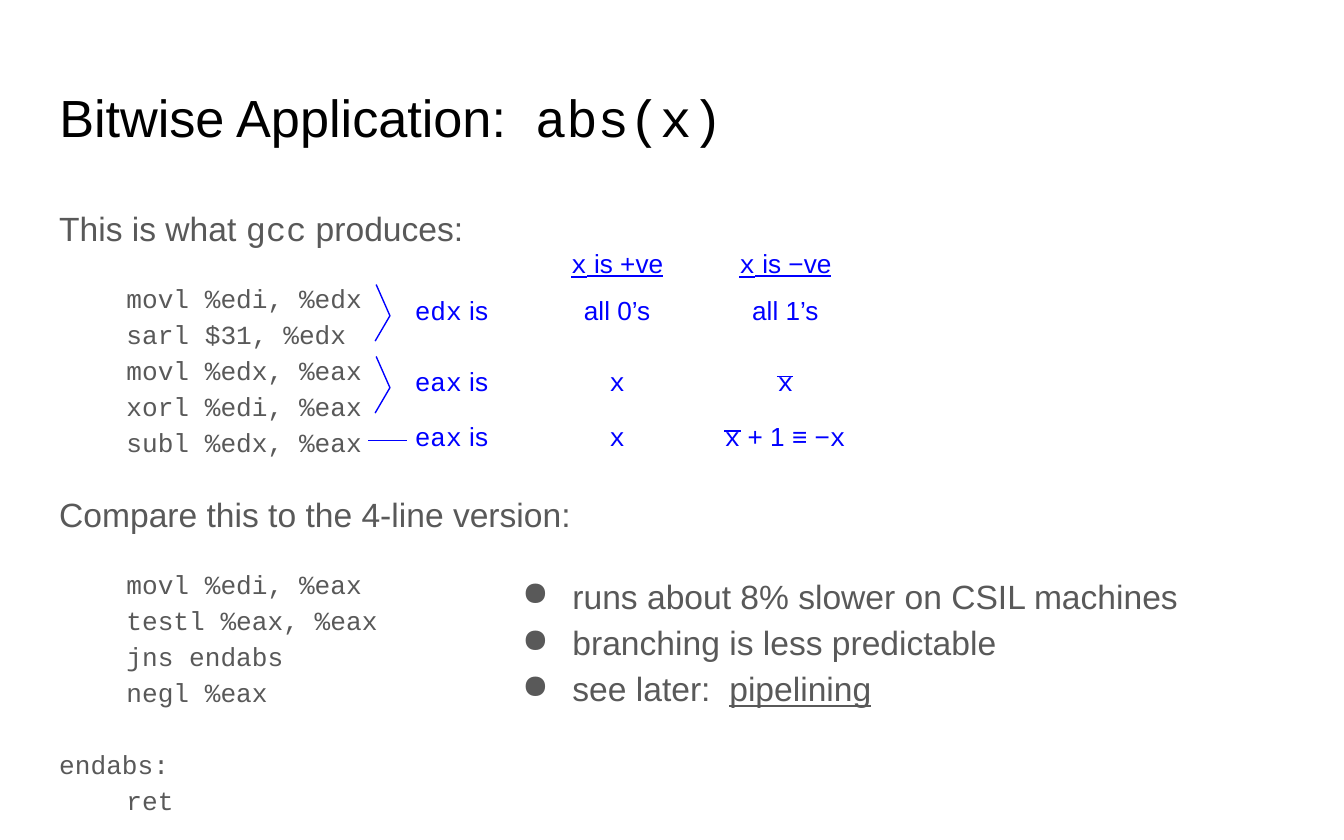
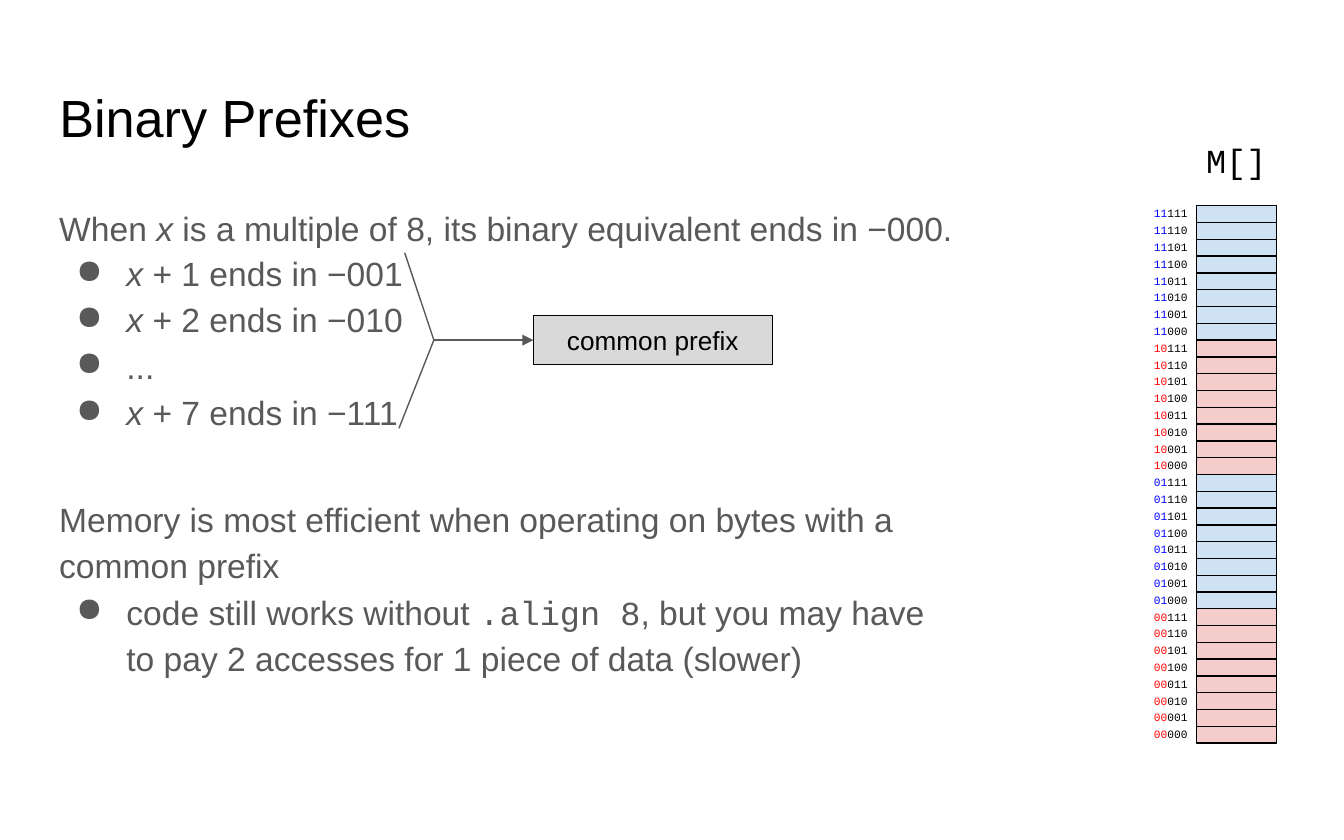
from lxml import etree
from pptx import Presentation
from pptx.dml.color import RGBColor
from pptx.enum.shapes import MSO_CONNECTOR, MSO_SHAPE
from pptx.enum.text import MSO_ANCHOR, MSO_AUTO_SIZE, PP_ALIGN
from pptx.oxml.ns import qn
from pptx.util import Cm, Pt

LEFT, CENTER = PP_ALIGN.LEFT, PP_ALIGN.CENTER
TOP, MIDDLE = MSO_ANCHOR.TOP, MSO_ANCHOR.MIDDLE
STRAIGHT = MSO_CONNECTOR.STRAIGHT
RECTANGLE = MSO_SHAPE.RECTANGLE

COLORS = {
    "black": "000000", "body": "595959", "blue": "0000FF", "red": "FF0000",
    "pale blue": "CFE2F3", "pale red": "F4CCCC", "gray": "D9D9D9",
}
SANS, MONO = "Arial", "Courier New"
INSET = 0.25
LINE_WIDTH = 0.75
INDENT, HANGING = 1.27, -0.95
TITLE_BOX = (0.87, 1.37, 23.67, 1.78)
BODY_BOX = (0.87, 3.56, 23.67, 10.54)


# A run is a plain string or (text, style); a style names mono, italic,
# underline or a colour. A paragraph is a list of runs plus its settings.
def line(*runs, **settings):
    return {"runs": runs, **settings}


def code(text, first=INDENT, left=0, after=0):
    return line((text, "mono"), size=14, left=left, first=first, after=after)


def bullet(*runs):
    return line(*runs, left=INDENT, first=HANGING, bullet=True)


ABS_TITLE = line("Bitwise Application:  ", ("abs(x)", "mono"), size=28)
ABS_BODY = [
    line("This is what ", ("gcc", "mono"), " produces:", after=16),
    code("movl %edi, %edx"),
    code("sarl $31, %edx"),
    code("movl %edx, %eax"),
    code("xorl %edi, %eax"),
    code("subl %edx, %eax", after=16),
    line("Compare this to the 4-line version:", after=16),
    code("movl %edi, %eax"),
    code("testl %eax, %eax"),
    code("jns endabs"),
    code("negl %eax", after=19.3),
    code("endabs:", first=0),
    code("ret", first=0, left=INDENT),
]
ABS_REMARKS = [
    bullet("runs about 8% slower on CSIL machines"),
    bullet("branching is less predictable"),
    bullet("see later:  ", ("pipelining", "underline")),
]
REMARKS_BOX = (9.3, 10.52, 13.77, 3.96)

X = ("x", "mono")
TRACE_HEADERS = [
    (("x", "mono underline"), (" is +ve", "underline")),
    (("x", "mono underline"), (" is −ve", "underline")),
]
TRACE_HEADER_TOP, TRACE_HEADER_HEIGHT = 4.42, 1.09
TRACE_ROWS = [  # top, register, value for positive x, value for negative x
    (5.54, "edx", ("all 0’s",), ("all 1’s",)),
    (6.88, "eax", (X,), (X,)),
    (7.92, "eax", (X,), None),
]
TRACE_HEIGHT = 0.64
REGISTER_LEFT, REGISTER_WIDTH = 7.59, 3.58
VALUE_LEFTS, VALUE_WIDTH = (10.13, 13.31), 3.07
NEGATION_PARTS = [(12.73, (X, " + 1")), (13.94, ("≡ −", X))]
OVERBARS = [(14.68, 7.12), (13.69, 8.15)]
OVERBAR_WIDTH = 0.31
CODE_BRACKET = [(7.11, 5.38), (7.37, 5.97), (7.09, 6.45)]
CODE_BRACKET_STEP = 1.36
CODE_LINK = (6.96, 8.33, 7.7, 8.33)

PREFIX_TITLE = line("Binary Prefixes", size=28)
PREFIX_TEXTS = [
    (BODY_BOX, [line("When ", ("x", "italic"),
                     " is a multiple of 8, its binary equivalent ends in −000.")]),
    ((0.87, 4.42, 14.43, 5.28), [
        bullet(("x", "italic"), " + 1 ends in −001"),
        bullet(("x", "italic"), " + 2 ends in −010"),
        bullet("..."),
        bullet(("x", "italic"), " + 7 ends in −111"),
    ]),
    ((0.87, 9.07, 16.94, 5.72), [
        line("Memory is most efficient when operating on bytes with a common prefix"),
        bullet("code still works without ", (".align 8", "mono"),
               ", but you may have to pay 2 accesses for 1 piece of data (slower)"),
    ]),
]
PREFIX_BRACKET = [(7.65, 4.78), (8.2, 6.43), (7.54, 8.1)]
PREFIX_BOX = (10.08, 5.97, 4.52, 0.92)

MEMORY_BANDS = [("11", "blue"), ("10", "red"), ("01", "blue"), ("00", "red")]
MEMORY_LEFT, MEMORY_TOP, MEMORY_WIDTH = 22.61, 3.89, 1.52
BAND_HEIGHT, CELLS_PER_BAND = 2.54, 8
ADDRESS_LEFT, ADDRESS_RISE, ADDRESS_HEIGHT = 21.56, 0.23, 0.64
MEMORY_NAME_BOX = (22.4, 2.82, 1.93, 0.41)


def rgb(name):
    return RGBColor.from_string(COLORS[name])


def add_bullet(paragraph):
    properties = paragraph._p.get_or_add_pPr()
    bullet_color = etree.SubElement(properties, qn("a:buClr"))
    etree.SubElement(bullet_color, qn("a:srgbClr"), val=COLORS["body"])
    etree.SubElement(properties, qn("a:buChar"), char="●")


def fill_paragraph(paragraph, content, color, align, spacing):
    properties = paragraph._p.get_or_add_pPr()
    properties.set("marL", str(Cm(content.get("left", 0))))
    properties.set("indent", str(Cm(content.get("first", 0))))
    if content.get("bullet"):
        add_bullet(paragraph)
    paragraph.alignment = align
    paragraph.line_spacing = spacing
    paragraph.space_before = Pt(0)
    paragraph.space_after = Pt(content.get("after", 0))
    for part in content["runs"]:
        text, style = (part, "") if isinstance(part, str) else part
        styles = style.split()
        run = paragraph.add_run()
        run.text = text
        font = run.font
        font.name = MONO if "mono" in styles else SANS
        font.size = Pt(content.get("size", 18))
        font.italic = "italic" in styles
        font.underline = "underline" in styles
        font.color.rgb = rgb(next((name for name in styles if name in COLORS), color))


def fill_text(shape, lines, color="body", align=LEFT, anchor=TOP, spacing=1.15):
    frame = shape.text_frame
    frame.word_wrap = True
    frame.auto_size = MSO_AUTO_SIZE.NONE
    frame.vertical_anchor = anchor
    frame.margin_left = frame.margin_right = Cm(INSET)
    frame.margin_top = frame.margin_bottom = Cm(INSET)
    for index, content in enumerate(lines):
        paragraph = frame.add_paragraph() if index else frame.paragraphs[0]
        fill_paragraph(paragraph, content, color, align, spacing)


def add_text(slide, box, lines, **options):
    fill_text(slide.shapes.add_textbox(*map(Cm, box)), lines, **options)


def add_titled_slide(presentation, title):
    slide = presentation.slides.add_slide(presentation.slide_layouts[5])
    placeholder = slide.shapes.title
    placeholder.left, placeholder.top, placeholder.width, placeholder.height = map(Cm, TITLE_BOX)
    fill_text(placeholder, [title], color="black", spacing=1)
    return slide


def style_line(shape, color):
    shape.line.color.rgb = rgb(color)
    shape.line.width = Pt(LINE_WIDTH)


def add_rectangle(slide, box, fill=None, outline=None):
    shape = slide.shapes.add_shape(RECTANGLE, *map(Cm, box))
    shape.shadow.inherit = False
    if fill:
        shape.fill.solid()
        shape.fill.fore_color.rgb = rgb(fill)
    else:
        shape.fill.background()
    if outline:
        style_line(shape, outline)
    else:
        shape.line.fill.background()
    return shape


def add_line(slide, ends, color):
    connector = slide.shapes.add_connector(STRAIGHT, *map(Cm, ends))
    style_line(connector, color)
    etree.SubElement(connector._element.spPr, qn("a:effectLst"))
    return connector


def add_bracket(slide, points, color):
    start, *others = [(Cm(x), Cm(y)) for x, y in points]
    builder = slide.shapes.build_freeform(*start)
    builder.add_line_segments(others, close=False)
    shape = builder.convert_to_shape()
    shape.shadow.inherit = False
    shape.fill.background()
    style_line(shape, color)


def add_trace(slide):
    """Add the register values for positive and negative x beside the code."""
    def add_cell(left, top, width, height, runs, align=CENTER, anchor=MIDDLE):
        add_text(slide, (left, top, width, height), [line(*runs, size=14)],
                 color="blue", align=align, anchor=anchor, spacing=1)

    for left, runs in zip(VALUE_LEFTS, TRACE_HEADERS):
        add_cell(left, TRACE_HEADER_TOP, VALUE_WIDTH, TRACE_HEADER_HEIGHT, runs, anchor=TOP)
    for top, register, *values in TRACE_ROWS:
        add_cell(REGISTER_LEFT, top, REGISTER_WIDTH, TRACE_HEIGHT,
                 ((register, "mono"), " is"), align=LEFT)
        for left, runs in zip(VALUE_LEFTS, values):
            if runs:
                add_cell(left, top, VALUE_WIDTH, TRACE_HEIGHT, runs)
    for left, runs in NEGATION_PARTS:
        add_cell(left, TRACE_ROWS[-1][0], VALUE_WIDTH, TRACE_HEIGHT, runs)
    for left, top in OVERBARS:
        add_line(slide, (left, top, left + OVERBAR_WIDTH, top), "blue")
    for pair in range(2):
        shift = pair * CODE_BRACKET_STEP
        add_bracket(slide, [(x, y + shift) for x, y in CODE_BRACKET], "blue")
    add_line(slide, CODE_LINK, "blue")


def add_memory(slide):
    """Add the memory column, one band per address prefix, with its addresses."""
    cell_height = BAND_HEIGHT / CELLS_PER_BAND
    for band, (prefix, color) in enumerate(MEMORY_BANDS):
        band_top = MEMORY_TOP + band * BAND_HEIGHT
        add_rectangle(slide, (MEMORY_LEFT, band_top, MEMORY_WIDTH, BAND_HEIGHT),
                      fill="pale " + color)
        for cell in range(CELLS_PER_BAND):
            top = band_top + cell * cell_height
            add_rectangle(slide, (MEMORY_LEFT, top, MEMORY_WIDTH, cell_height),
                          outline="black")
            suffix = format(CELLS_PER_BAND - 1 - cell, "03b")
            address = line((prefix, "mono " + color), (suffix, "mono"), size=6)
            add_text(slide, (ADDRESS_LEFT, top - ADDRESS_RISE, MEMORY_WIDTH, ADDRESS_HEIGHT),
                     [address], color="black", spacing=1)
    add_text(slide, MEMORY_NAME_BOX, [line(("M[]", "mono"))],
             color="black", align=CENTER, anchor=MIDDLE, spacing=1)


def add_common_prefix(slide):
    add_bracket(slide, PREFIX_BRACKET, "body")
    box = add_rectangle(slide, PREFIX_BOX, fill="gray", outline="black")
    fill_text(box, [line("common prefix", size=14)],
              color="black", align=CENTER, anchor=MIDDLE, spacing=1)
    tip = PREFIX_BRACKET[1]
    arrow = add_line(slide, (*tip, PREFIX_BOX[0], tip[1]), "body")
    arrow.end_connect(box, 1)
    etree.SubElement(arrow.line._get_or_add_ln(), qn("a:tailEnd"), type="triangle")


def main():
    presentation = Presentation()
    presentation.slide_width, presentation.slide_height = Cm(25.4), Cm(15.88)

    slide = add_titled_slide(presentation, ABS_TITLE)
    add_text(slide, BODY_BOX, ABS_BODY)
    add_trace(slide)
    add_text(slide, REMARKS_BOX, ABS_REMARKS)

    slide = add_titled_slide(presentation, PREFIX_TITLE)
    for box, lines in PREFIX_TEXTS:
        add_text(slide, box, lines)
    add_memory(slide)
    add_common_prefix(slide)

    presentation.save("out.pptx")


if __name__ == "__main__":
    main()
